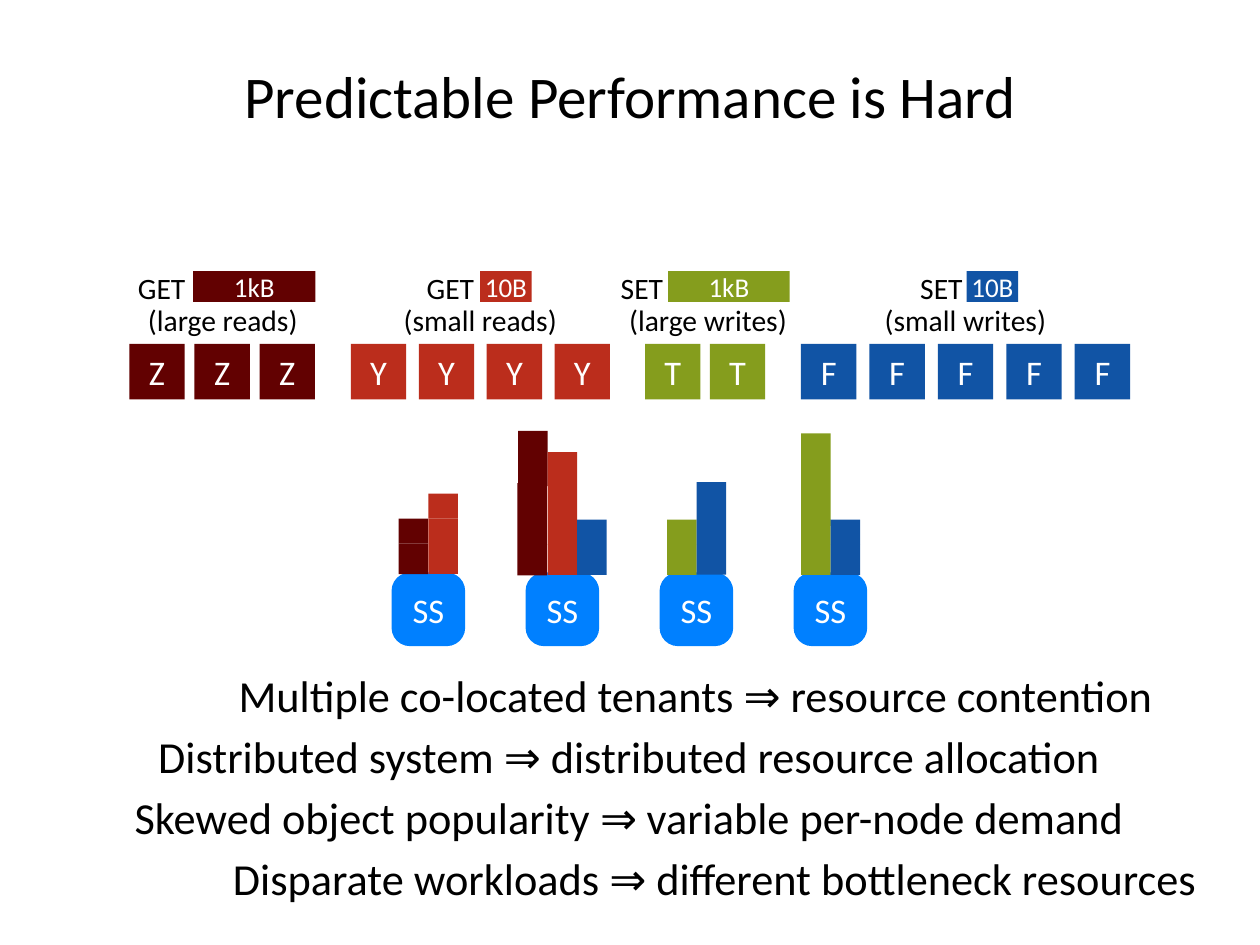
"""Build a slide on tenants that share storage servers."""
from dataclasses import dataclass

from lxml import etree
from pptx import Presentation
from pptx import util as u
from pptx.dml.color import RGBColor
from pptx.enum import shapes, text
from pptx.oxml.ns import qn
from pptx.shapes.autoshape import Shape
from pptx.shapes.base import BaseShape
from pptx.slide import Slide
from pptx.text.text import TextFrame, _Paragraph as Para


@dataclass(frozen=True)
class Theme:
    font: str = "Calibri"
    black: str = "000000"
    white: str = "FFFFFF"
    maroon: str = "620101"
    red: str = "BB2D1C"
    green: str = "859D1D"
    navy: str = "1154A5"
    blue: str = "0080FF"
    title: int = 48
    claim: int = 36
    block: int = 28
    label: int = 24
    chip: int = 22


@dataclass(frozen=True)
class Tenant:
    name: str
    color: str
    left: float
    step: float
    count: int
    verb: str
    verb_mid: float
    size: str
    chip_left: float
    chip_width: float
    note: str
    note_mid: float


@dataclass(frozen=True)
class Bar:
    left: float
    color: str
    loads: tuple[tuple[float, float], ...]


@dataclass(frozen=True)
class Claim:
    words: str
    indent: int = 0


T = Theme()
RECT = shapes.MSO_SHAPE.RECTANGLE
ROUND = shapes.MSO_SHAPE.ROUNDED_RECTANGLE
SMALL = ((442, 25), (422, 20))
BLOCK = 45
SERVER = 59.8

TENANTS = (
    Tenant("Z", T.maroon, 105.1, 52.9, 3, "GET", 131.4, "1kB", 157, 99.2, "(large reads)", 181),
    Tenant("Y", T.red, 285.1, 55.2, 4, "GET", 366, "10B", 390.2, 41.8, "(small reads)", 390.2),
    Tenant("T", T.green, 524.2, 52.6, 2, "SET", 521.6, "1kB", 542.9, 98.8, "(large writes)", 575.3),
    Tenant("F", T.navy, 650.9, 55.6, 5, "SET", 765, "10B", 785.5, 41.8, "(small writes)", 784.4),
)
BARS = (
    Bar(324, T.maroon, ((441.4, 25), (421.2, 20.2))),
    Bar(348, T.red, ((421.2, 45), (401, 20.2))),
    Bar(421, T.maroon, ((349.9, 45),)),
    Bar(420.5, T.maroon, ((392.4, 75),)),
    Bar(445, T.red, ((442, 25), (367.2, 75))),
    Bar(469, T.navy, ((422, 45),)),
    Bar(542, T.green, SMALL),
    Bar(566, T.navy, ((391.7, 75),)),
    Bar(651, T.green, ((422, 45), (352.1, 75))),
    Bar(675, T.navy, SMALL),
)
CLAIMS = (
    Claim("Multiple co-located tenants ⇒ resource contention", 108),
    Claim("Distributed system ⇒ distributed resource allocation"),
    Claim("Skewed object popularity ⇒ variable per-node demand"),
    Claim("Disparate workloads ⇒ different bottleneck resources", 139),
)


def place(item: BaseShape, left: float, top: float, width: float, height: float) -> None:
    item.left, item.top = u.Pt(left), u.Pt(top)
    item.width, item.height = u.Pt(width), u.Pt(height)


def frame(box: TextFrame, anchor: text.MSO_ANCHOR, wrap: bool = True) -> None:
    box.margin_left = box.margin_right = box.margin_top = box.margin_bottom = 0
    box.auto_size = text.MSO_AUTO_SIZE.NONE
    box.vertical_anchor = anchor
    box.word_wrap = wrap


def style(para: Para, size: int, color: str) -> None:
    para.alignment = text.PP_ALIGN.CENTER
    para.font.name = T.font
    para.font.size = u.Pt(size)
    para.font.color.rgb = RGBColor.from_string(color)


def write(box: TextFrame, words: str, size: int, color: str, wrap: bool = True) -> None:
    frame(box, text.MSO_ANCHOR.MIDDLE, wrap)
    box.text = words
    style(box.paragraphs[0], size, color)


def block(slide: Slide, kind: shapes.MSO_SHAPE, left: float, top: float,
          width: float, height: float, color: str) -> Shape:
    item = slide.shapes.add_shape(kind, *map(u.Pt, (left, top, width, height)))
    item.shadow.inherit = False
    item.fill.solid()
    item.fill.fore_color.rgb = RGBColor.from_string(color)
    item.line.fill.background()
    return item


def label(slide: Slide, mid: float, top: float, width: float, words: str) -> None:
    box = slide.shapes.add_textbox(*map(u.Pt, (mid - width / 2, top, width, 28.8)))
    write(box.text_frame, words, T.label, T.black, False)


def tenant(slide: Slide, item: Tenant) -> None:
    for i in range(item.count):
        tile = block(slide, RECT, item.left + i * item.step, 279.4, BLOCK, BLOCK, item.color)
        write(tile.text_frame, item.name, T.block, T.white)
    chip = block(slide, RECT, item.chip_left, 220.3, item.chip_width, 25, item.color)
    write(chip.text_frame, item.size, T.chip, T.white)
    label(slide, item.verb_mid, 219, 44, item.verb)
    label(slide, item.note_mid, 245.5, 148, item.note)


def claims(body: Shape) -> None:
    place(body, 0, 542.5, 1022.4, 200)
    box = body.text_frame
    frame(box, text.MSO_ANCHOR.TOP)
    for i, claim in enumerate(CLAIMS):
        para = box.add_paragraph() if i else box.paragraphs[0]
        para.text = claim.words
        props = para._p.get_or_add_pPr()
        props.set("marL", str(u.Pt(claim.indent)))
        props.set("indent", "0")
        etree.SubElement(props, qn("a:buNone"))
        para.space_before = u.Pt(6.5 if i else 0)
        style(para, T.claim, T.black)


def main() -> None:
    deck = Presentation()
    deck.slide_width, deck.slide_height = u.Pt(1023.84), u.Pt(767.52)
    slide = deck.slides.add_slide(deck.slide_layouts[1])
    title = slide.shapes.title
    place(title, 22.3, 27.4, 979.9, 98.6)
    write(title.text_frame, "Predictable Performance is Hard", T.title, T.black)
    claims(slide.placeholders[1])
    for item in TENANTS:
        tenant(slide, item)
    for i in range(4):
        server = block(slide, ROUND, 318.2 + i * 108.9, 465, SERVER, SERVER, T.blue)
        server.adjustments[0] = 0.25
        write(server.text_frame, "SS", T.block, T.white)
    for bar in BARS:
        for top, height in bar.loads:
            block(slide, RECT, bar.left, top, 24, height, bar.color)
    deck.save("out.pptx")


if __name__ == "__main__":
    main()
